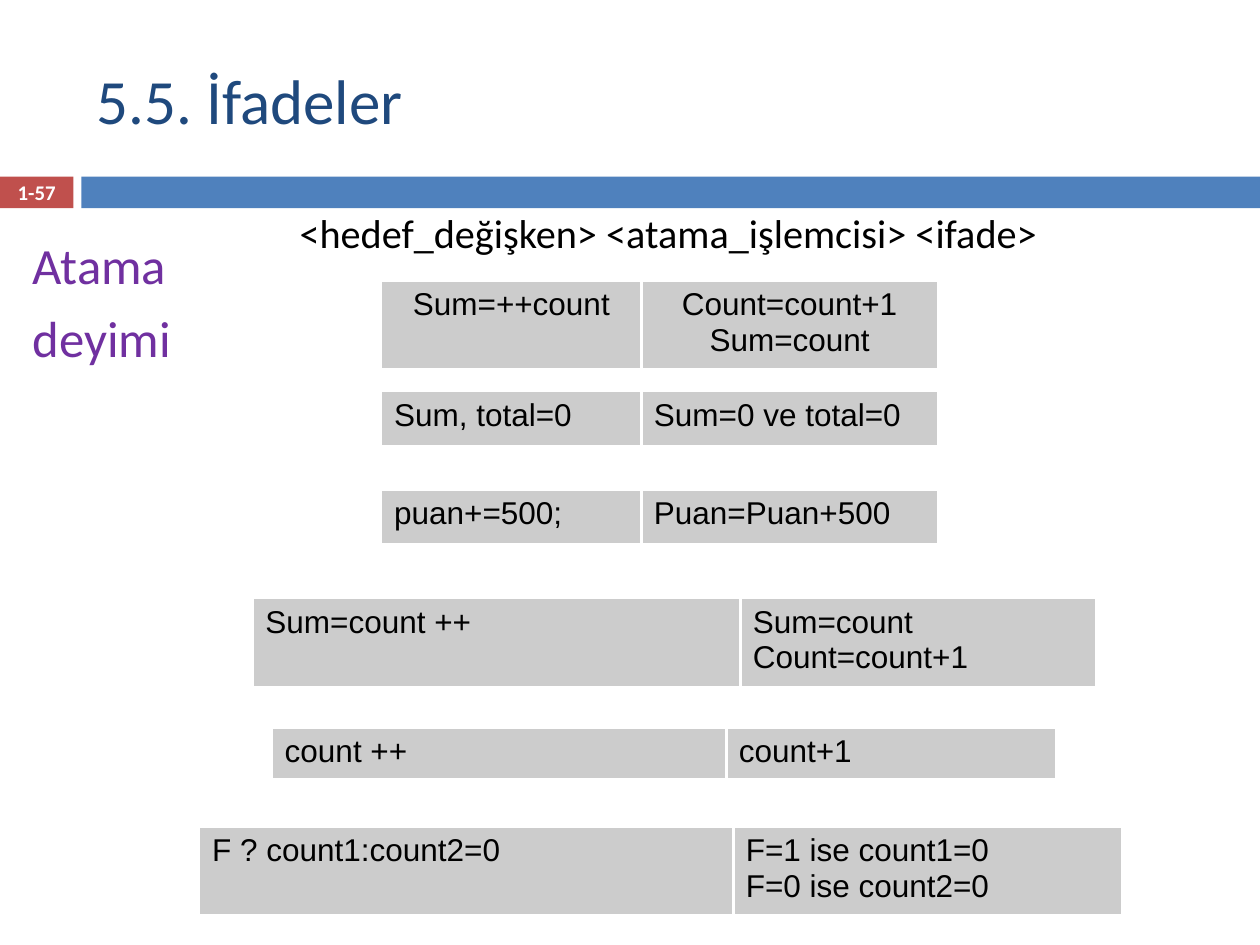
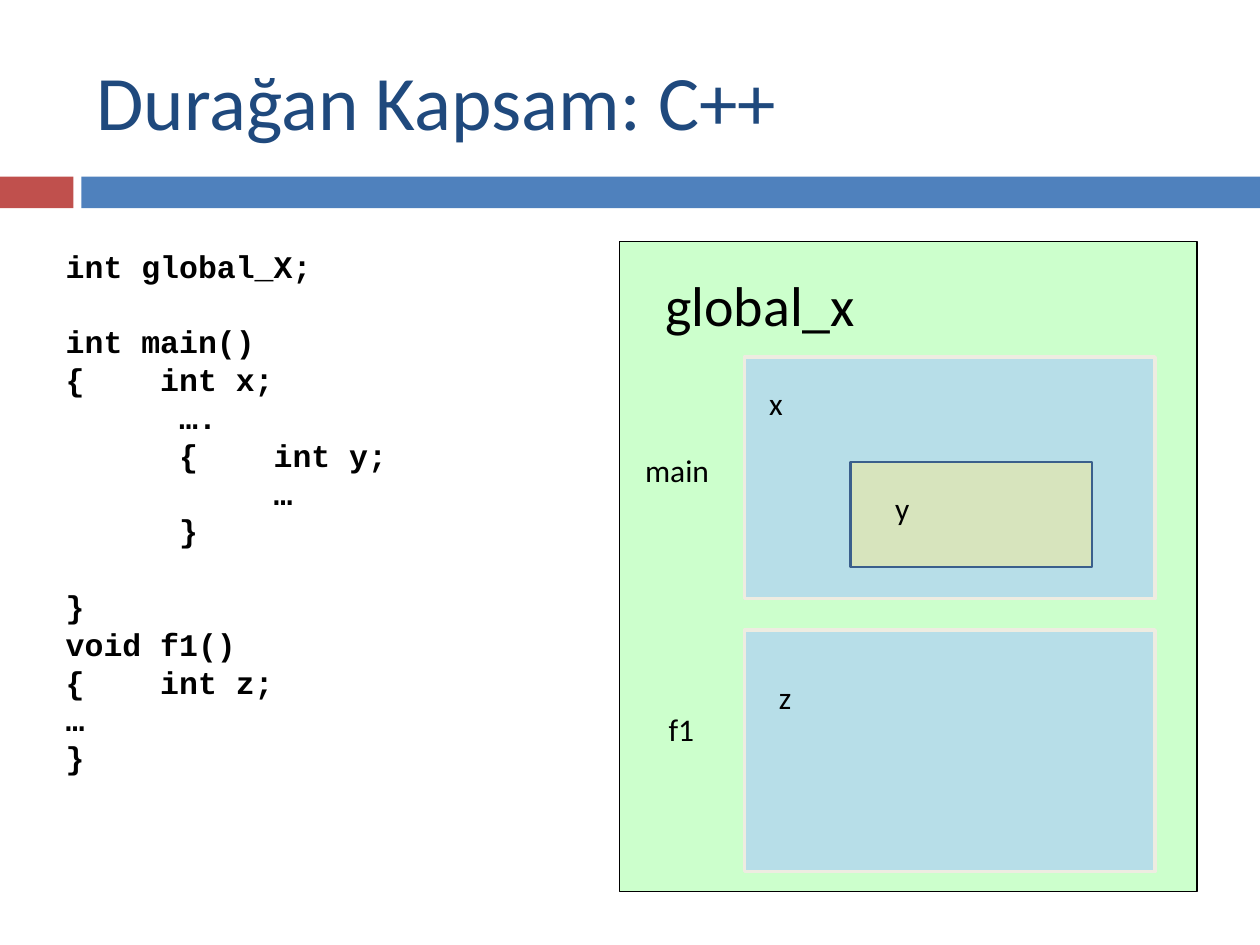
from dataclasses import dataclass

from lxml.etree import SubElement
from pptx import Presentation
from pptx.dml.color import RGBColor
from pptx.enum.shapes import MSO_SHAPE
from pptx.enum.text import MSO_ANCHOR, MSO_AUTO_SIZE, PP_ALIGN
from pptx.oxml import parse_xml
from pptx.oxml.ns import nsdecls, qn
from pptx.util import Pt


@dataclass(frozen=True)
class Theme:
    body_font: str = "Calibri"
    table_font: str = "Arial"
    code_font: str = "Courier New"
    title: str = "1F497D"
    accent: str = "C0504D"
    band: str = "4F81BD"
    topic: str = "7030A0"
    text: str = "000000"
    white: str = "FFFFFF"
    cell: str = "CCCCCC"
    global_scope: str = "CCFFCC"
    function_scope: str = "B7DEE8"
    function_line: str = "EEECE1"
    block_scope: str = "D7E4BD"
    block_line: str = "3A5F8C"
    number_size: float = 11.9
    normal_size: float = 18
    formula_size: float = 23
    topic_size: float = 29
    scope_size: float = 32


T = Theme()


def add_box(s, x, y, w, h, fill, line=None, line_width=1):
    sp = s.shapes.add_shape(MSO_SHAPE.RECTANGLE, Pt(x), Pt(y), Pt(w), Pt(h))
    sp.shadow.inherit = False
    sp.fill.solid()
    sp.fill.fore_color.rgb = RGBColor.from_string(fill)
    if line:
        sp.line.color.rgb = RGBColor.from_string(line)
        sp.line.width = Pt(line_width)
    else:
        sp.line.fill.background()
    return sp


def write(tf, lines, size, font=T.body_font, color=T.text, bold=False,
          align=PP_ALIGN.LEFT, gap=0):
    tf.word_wrap = True
    for i, line in enumerate(lines):
        p = tf.paragraphs[0] if i == 0 else tf.add_paragraph()
        p.alignment = align
        p.space_before = Pt(gap if i else 0)
        r = p.add_run()
        r.text = line
        r.font.name = font
        r.font.size = Pt(size)
        r.font.bold = bold
        r.font.color.rgb = RGBColor.from_string(color)


prs = Presentation()
prs.slide_width, prs.slide_height = Pt(720), Pt(540)

# Shared title and bands
slides = []
for title, size in (("5.5. İfadeler", 36), ("Durağan Kapsam: C++", 44)):
    s = prs.slides.add_slide(prs.slide_layouts[5])
    add_box(s, 0, 101, 42, 18, T.accent)
    add_box(s, 46.5, 101, 673.5, 18, T.band)
    sp = s.shapes.title
    sp.left, sp.top, sp.width, sp.height = Pt(48), Pt(18), Pt(642), Pt(78)
    sp.text_frame.vertical_anchor = MSO_ANCHOR.MIDDLE
    sp.text_frame.auto_size = MSO_AUTO_SIZE.NONE
    write(sp.text_frame, [title], size, color=T.title)
    slides.append(s)
expressions, scopes = slides

# Slide 1: page number, topic and general form
s = expressions
tf = s.shapes.add_textbox(Pt(0), Pt(100), Pt(42), Pt(19.5)).text_frame
tf.vertical_anchor = MSO_ANCHOR.MIDDLE
tf.margin_left = tf.margin_right = 0
write(tf, ["1-57"], T.number_size, color=T.white, bold=True, align=PP_ALIGN.CENTER)

tf = s.shapes.add_textbox(Pt(11.5), Pt(130), Pt(98), Pt(96)).text_frame
write(tf, ["Atama", "deyimi"], T.topic_size, color=T.topic, gap=7)

tf = s.shapes.add_textbox(Pt(121.5), Pt(115.5), Pt(521.5), Pt(28)).text_frame
write(tf, ["<hedef_değişken> <atama_işlemcisi> <ifade>"], T.formula_size,
      align=PP_ALIGN.CENTER)

# Statements and what they mean: left, top, column widths, row height, texts
LEFT, CENTER = PP_ALIGN.LEFT, PP_ALIGN.CENTER
statements = [
    (218, 160.5, (148.5, 169.5), 48, CENTER,
     ["Sum=++count"], ["Count=count+1", "Sum=count"]),
    (218, 223.5, (148.5, 169.5), 31, LEFT, ["Sum, total=0"], ["Sum=0 ve total=0"]),
    (218, 280, (148.5, 169.5), 31, LEFT, ["puan+=500;"], ["Puan=Puan+500"]),
    (144.5, 342, (278.5, 203), 48, LEFT,
     ["Sum=count ++"], ["Sum=count", "Count=count+1"]),
    (155.5, 416, (259.5, 188.5), 28.5, LEFT, ["count ++"], ["count+1"]),
    (114, 472.5, (305, 222), 48, LEFT,
     ["F ? count1:count2=0"], ["F=1 ise count1=0", "F=0 ise count2=0"]),
]
for x, y, widths, h, align, *texts in statements:
    table = s.shapes.add_table(1, 2, Pt(x), Pt(y), Pt(sum(widths)), Pt(h)).table
    table.first_row = table.horz_banding = False
    table.rows[0].height = Pt(h)
    for i, (w, lines, side) in enumerate(zip(widths, texts, ("lnR", "lnL"))):
        table.columns[i].width = Pt(w)
        cell = table.cell(0, i)
        cell.fill.solid()
        cell.fill.fore_color.rgb = RGBColor.from_string(T.cell)
        write(cell.text_frame, lines, T.normal_size, T.table_font, align=align)
        border = parse_xml(f'<a:{side} {nsdecls("a")} w="{Pt(2)}"/>')
        fill = SubElement(border, qn("a:solidFill"))
        SubElement(fill, qn("a:srgbClr")).set("val", T.white)
        cell._tc.get_or_add_tcPr().insert(0, border)

# Slide 2: code as (indent in characters, text, blank lines before)
s = scopes
CHAR, LINE = 10.8, 21.6
code = [
    (0, "int global_X;", 0), (0, "int main()", 1), (0, "{\tint x;", 0),
    (6, "….", 0), (6, "{\tint y;", 0), (11, "…", 0), (6, "}", 0),
    (0, "}", 1), (0, "void f1()", 0), (0, "{\tint z;", 0), (0, "…", 0), (0, "}", 0),
]
tf = s.shapes.add_textbox(Pt(34), Pt(118), Pt(618), Pt(330)).text_frame
tf.margin_left = tf.margin_right = Pt(3.6)
tf.margin_top, tf.margin_bottom = Pt(1.5 + LINE), Pt(1.5)
write(tf, [text for _, text, _ in code], T.normal_size, T.code_font, bold=True)
for p, (indent, text, blanks) in zip(tf.paragraphs, code):
    p.line_spacing = Pt(LINE)
    p.space_before = Pt(blanks * LINE)
    hang = 5 if "\t" in text else 0  # the tab stops at the hanging indent
    pPr = p._p.get_or_add_pPr()
    pPr.set("marL", str(Pt((indent + hang) * CHAR)))
    pPr.set("indent", str(Pt(-hang * CHAR)))

# Nested scopes
add_box(s, 354, 138, 330, 371.5, T.global_scope, T.text)
for y in (204, 360):
    add_box(s, 425.5, y, 234.5, 138, T.function_scope, T.function_line, 2)
add_box(s, 486, 264, 138, 60, T.block_scope, T.block_line, 1.5)

# Scope and variable names
for x, y, w, h, name, size in (
    (373, 151, 180, 46, "global_x", T.scope_size),
    (361.5, 254, 71, 36, "main", T.normal_size),
    (375, 402, 45, 36, "f1", T.normal_size),
    (504.5, 276, 30, 36, "y", T.normal_size),
    (432.5, 216, 77, 36, "x", T.normal_size),
    (438, 384, 42, 36, "z", T.normal_size),
):
    tf = s.shapes.add_textbox(Pt(x), Pt(y), Pt(w), Pt(h)).text_frame
    write(tf, [name], size)

prs.save("out.pptx")
